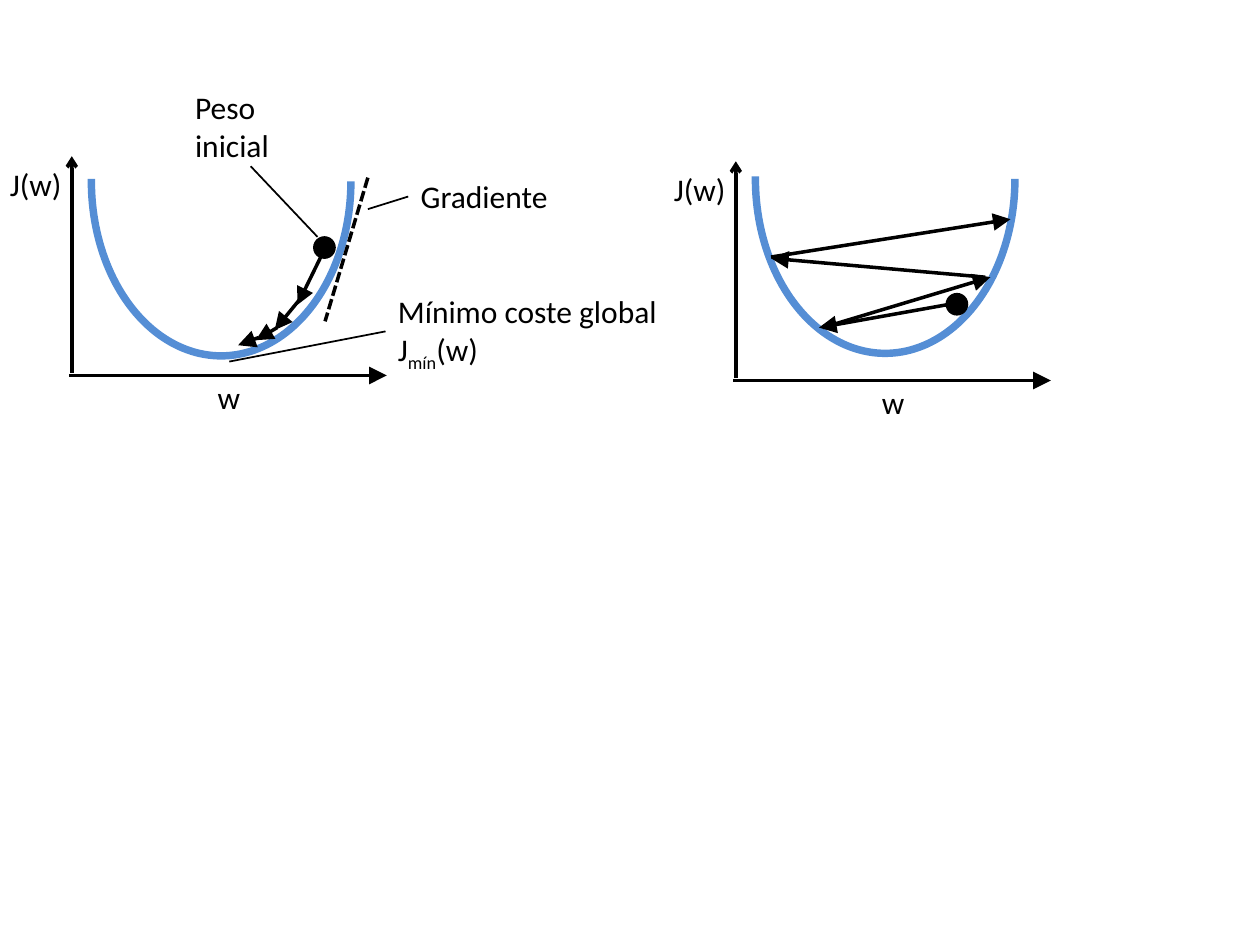
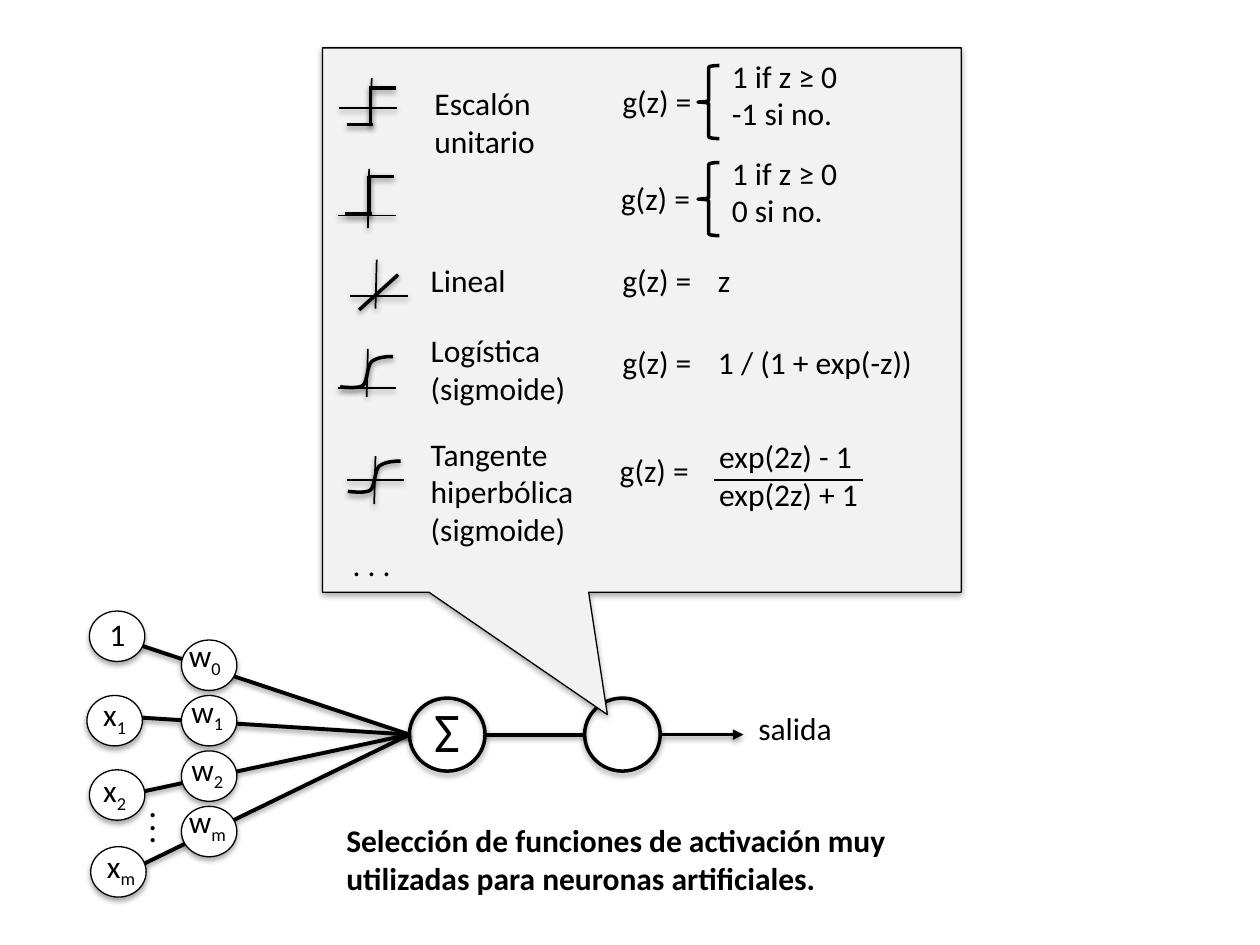
import pptx
import pptx.util
import pptx.dml.color
import pptx.enum.dml
import pptx.enum.shapes
import pptx.enum.text
import pptx.oxml.ns
from lxml import etree

PX = 9144  # EMU in one px, a hundredth of an inch
FONT = "Calibri"
BLACK, WHITE, PANEL, CURVE = "000000", "FFFFFF", "F2F2F2", "558ED5"
SHAPES = pptx.enum.shapes.MSO_SHAPE
qn = pptx.oxml.ns.qn


def color(value):
    """Return the RGB colour of a hex string."""
    return pptx.dml.color.RGBColor.from_string(value)


def px(*values):
    """Turn lengths in px into EMU."""
    return [round(v * PX) for v in values]


def finish(sp, width, line=BLACK, shadow=None):
    """Set the outline and replace the theme shadow by none or a soft one."""
    sp.line.color.rgb = color(line)
    sp.line.width = pptx.util.Pt(width)
    props = sp._element.spPr
    effects = props.find(qn("a:effectLst"))
    if effects is None:
        effects = etree.SubElement(props, qn("a:effectLst"))
    if shadow:
        alpha, distance = shadow
        outer = etree.SubElement(
            effects, qn("a:outerShdw"), blurRad="39370", dist=str(distance),
            dir="5400000", rotWithShape="0")
        rgb = etree.SubElement(outer, qn("a:srgbClr"), val=BLACK)
        etree.SubElement(rgb, qn("a:alpha"), val=str(alpha * 1000))


LINE_SHADOW, SHAPE_SHADOW = (38, 20320), (35, 22860)


def line(s, x1, y1, x2, y2, width=2, tail=None, size="med", dash=None, shadow=None):
    """Draw a straight line, with an optional arrowhead at its end."""
    sp = s.shapes.add_connector(
        pptx.enum.shapes.MSO_CONNECTOR.STRAIGHT, *px(x1, y1, x2, y2))
    finish(sp, width, shadow=shadow)
    if dash:
        sp.line.dash_style = dash
    if tail:
        etree.SubElement(sp.line._get_or_add_ln(), qn("a:tailEnd"),
                         type=tail, w=size, len=size)
    return sp


def shape(s, kind, x, y, w, h, width=0.75, fill=None, outline=BLACK,
          shadow=None, adjust=()):
    """Draw a preset shape."""
    sp = s.shapes.add_shape(kind, *px(x, y, w, h))
    sp.shadow.inherit = False
    if fill:
        sp.fill.solid()
        sp.fill.fore_color.rgb = color(fill)
    else:
        sp.fill.background()
    for i, value in enumerate(adjust):
        sp.adjustments[i] = value
    finish(sp, width, outline, shadow)
    return sp


def text(s, x, y, w, h, content, size=18, bold=False, spacing=None, wrap=True):
    """Write text; \\n parts paragraphs, \\v breaks lines, _ marks subscripts."""
    tf = s.shapes.add_textbox(*px(x, y, w, h)).text_frame
    tf.word_wrap = wrap
    tf.auto_size = pptx.enum.text.MSO_AUTO_SIZE.SHAPE_TO_FIT_TEXT
    for i, paragraph in enumerate(content.split("\n")):
        p = tf.add_paragraph() if i else tf.paragraphs[0]
        if spacing:
            p.line_spacing = spacing
        for j, part in enumerate(paragraph.split("_")):
            for k, piece in enumerate(part.split("\v")):
                if k:
                    p.add_line_break()
                if not piece:
                    continue
                r = p.add_run()
                r.text = piece
                r.font.name = FONT
                r.font.size = pptx.util.Pt(size)
                r.font.bold = bold
                r.font.color.rgb = color(BLACK)
                if j % 2:
                    r.font._element.set("baseline", "-25000")


def cost_plot(s, x, y, curve_y):
    """Draw the axes and the cost curve from the top of the vertical axis."""
    line(s, x, y + 172, x, y, tail="arrow")
    line(s, x - 2, y + 174, x + 250, y + 174, tail="triangle", size="lg")
    text(s, x - 59, y + 2, 103, 40, "J(w)")
    text(s, x + 106, y + 171, 103, 40, "w")
    shape(s, SHAPES.ARC, x - 20, y + curve_y, 277, 206, width=4.25,
          outline=CURVE, adjust=(162, 54.637)).rotation = 90


def steps(s, x, y, dot, moves):
    """Draw the starting weight and the arrows of its updates."""
    shape(s, SHAPES.OVAL, x + dot[0], y + dot[1], 17, 17, fill=BLACK)
    for x1, y1, x2, y2 in moves:
        line(s, x + x1, y + y1, x + x2, y + y2, tail="triangle", size="lg")


def descent(s, x, y):
    """Draw the plot of small steps towards the minimum."""
    cost_plot(s, x, y, -83)
    steps(s, x, y, (192, 64), [(201, 73, 179, 118), (183, 111, 161, 138),
                               (163, 136, 146, 146), (148, 144, 132, 150)])
    line(s, x + 235, y + 17, x + 201, y + 131,
         dash=pptx.enum.dml.MSO_LINE.SQUARE_DOT)
    for x1, y1, x2, y2 in [(249, 139, 125, 163), (195, 64, 142, 8),
                           (267, 32, 235, 42)]:
        line(s, x + x1, y + y1, x + x2, y + y2, width=1)
    text(s, x + 88, y - 59, 103, 71, "Peso\vinicial")
    text(s, x + 267, y + 12, 145, 40, "Gradiente")
    text(s, x + 249, y + 103, 276, 71, "Mínimo coste global\nJ_mín_(w)")


def overshoot(s, x, y):
    """Draw the plot of steps that bounce away from the minimum."""
    cost_plot(s, x, y, -89)
    steps(s, x, y, (167, 105), [(28, 76, 218, 46), (198, 92, 28, 77),
                                (69, 132, 202, 92), (167, 114, 66, 132)])


def step_curve(s, x, y, h):
    """Draw a step function."""
    for x1, y1, x2, y2 in [(39, 0, 18, 0), (19, 0, 19, h), (21, h, 0, h)]:
        line(s, x + x1, y + y1, x + x2, y + y2, shadow=LINE_SHADOW)


def sigmoid_curve(s, x, y):
    """Draw an S-shaped curve from Bézier pieces."""
    knots = [(42, 0), (35, 0), (29, 1), (25, 4), (21, 8), (22, 19), (18, 23),
             (14, 26), (0, 24), (0, 24)]
    points = []
    for start in range(0, 9, 3):
        for t in (n / 10 for n in range(1, 11)):
            weights = (1 - t) ** 3, 3 * t * (1 - t) ** 2, 3 * t * t * (1 - t), t ** 3
            points.append(px(*(
                origin + sum(w * k[axis] for w, k in zip(weights, knots[start:start + 4]))
                for axis, origin in enumerate((x, y)))))
    builder = s.shapes.build_freeform(*px(x + 42, y))
    builder.add_line_segments(points, close=False)
    sp = builder.convert_to_shape()
    sp.shadow.inherit = False
    sp.fill.background()
    finish(sp, 2, shadow=LINE_SHADOW)


def activation_panel(s, x, y):
    """Draw the callout that lists the activation functions."""
    shape(s, SHAPES.RECTANGULAR_CALLOUT, x, y, 507, 432, fill=PANEL,
          shadow=SHAPE_SHADOW, adjust=(-0.054, 0.725))
    for left, base, middle, up, down in [
            (13, 48, 26, 24, 14), (12, 133, 25, 37, 10), (22, 197, 21, 29, 10),
            (12, 270, 24, 31, 7), (19, 343, 23, 19, 19)]:
        ax, ay = x + left, y + base
        line(s, ax, ay, ax + 46, ay, width=1, shadow=LINE_SHADOW)
        line(s, ax + middle, ay - up, ax + middle - 1, ay + down, width=1,
             shadow=LINE_SHADOW)
    step_curve(s, x + 19, y + 32, 29)
    step_curve(s, x + 18, y + 102, 30)
    line(s, x + 60, y + 180, x + 29, y + 208, shadow=LINE_SHADOW)
    sigmoid_curve(s, x + 14, y + 245)
    sigmoid_curve(s, x + 20, y + 328)

    for left, top, h, name in [
            (79, 24, 71, "Escalón \vunitario"), (76, 164, 40, "Lineal"),
            (76, 220, 71, "Logística\n(sigmoide)"),
            (76, 302, 101, "Tangente\vhiperbólica\n(sigmoide)"),
            (14, 390, 40, ". . .")]:
        text(s, x + left, y + top, 200, h, name)
    for left, top in [(228, 22), (227, 99), (228, 164), (228, 229), (226, 315)]:
        text(s, x + left, y + top, 175, 40, "g(z) =")
    for top, otherwise in [(2, "-1"), (79, "0")]:
        shape(s, SHAPES.LEFT_BRACE, x + 298, y + top + 12, 17, 58, width=2)
        text(s, x + 315, y + top, 175, 71, f"1 if z ≥ 0\n{otherwise} si no.")
    text(s, x + 304, y + 164, 40, 40, "z")
    text(s, x + 304, y + 229, 176, 40, "1 / (1 + exp(-z))", wrap=False)
    text(s, x + 305, y + 304, 142, 71, "exp(2z) - 1\nexp(2z) + 1")
    line(s, x + 311, y + 343, x + 429, y + 343, width=1)


def neuron(s, x, y):
    """Draw the inputs, weights, sum and output of the neuron."""
    for x1, y1 in [(39, 28), (34, 86), (36, 147), (36, 207)]:
        line(s, x + x1, y + y1, x + 256, y + 100, width=2.25, shadow=LINE_SHADOW)
    line(s, x + 315, y + 100, x + 395, y + 100, width=2.25, shadow=LINE_SHADOW)
    line(s, x + 456, y + 100, x + 521, y + 100, tail="triangle", shadow=LINE_SHADOW)
    for left in (256, 395):
        shape(s, SHAPES.OVAL, x + left, y + 71, 60, 58, width=2, shadow=SHAPE_SHADOW)
    text(s, x + 266, y + 65, 25, 64, "Σ", size=32)
    text(s, x + 39, y + 153, 92, 54, ".\n.\n.", size=20, spacing=0.3)
    inputs = [(2, 2, 6, -2, "1"), (0, 69, 3, -5, "x_1"),
              (2, 128, 1, -4, "x_2"), (3, 189, 3, -5, "x_m")]
    weights = [(75, 25 + 44 * i, dx, dy, f"w_{index}") for i, (dx, dy, index) in
               enumerate([(-4, -8, "0"), (-2, -8, "1"), (-2, -6, "2"), (-4, -8, "m")])]
    for left, top, dx, dy, label in weights + inputs:
        shape(s, SHAPES.OVAL, x + left, y + top, 44, 40, fill=WHITE, shadow=SHAPE_SHADOW)
        text(s, x + left + dx, y + top + dy, 59, 40, label)
    text(s, x + 523, y + 75, 108, 40, "salida")
    text(s, x + 196, y + 164, 531, 71, "Selección de funciones de activación muy "
         "utilizadas para neuronas artificiales.", bold=True)


def main():
    """Build both slides and save them."""
    prs = pptx.Presentation()
    prs.slide_width, prs.slide_height = px(1000, 750)
    blank = prs.slide_layouts[6]
    s = prs.slides.add_slide(blank)
    descent(s, 57, 124)
    overshoot(s, 584, 128)
    s = prs.slides.add_slide(blank)
    neuron(s, 69, 483)
    activation_panel(s, 256, 38)
    prs.save("out.pptx")


if __name__ == "__main__":
    main()
